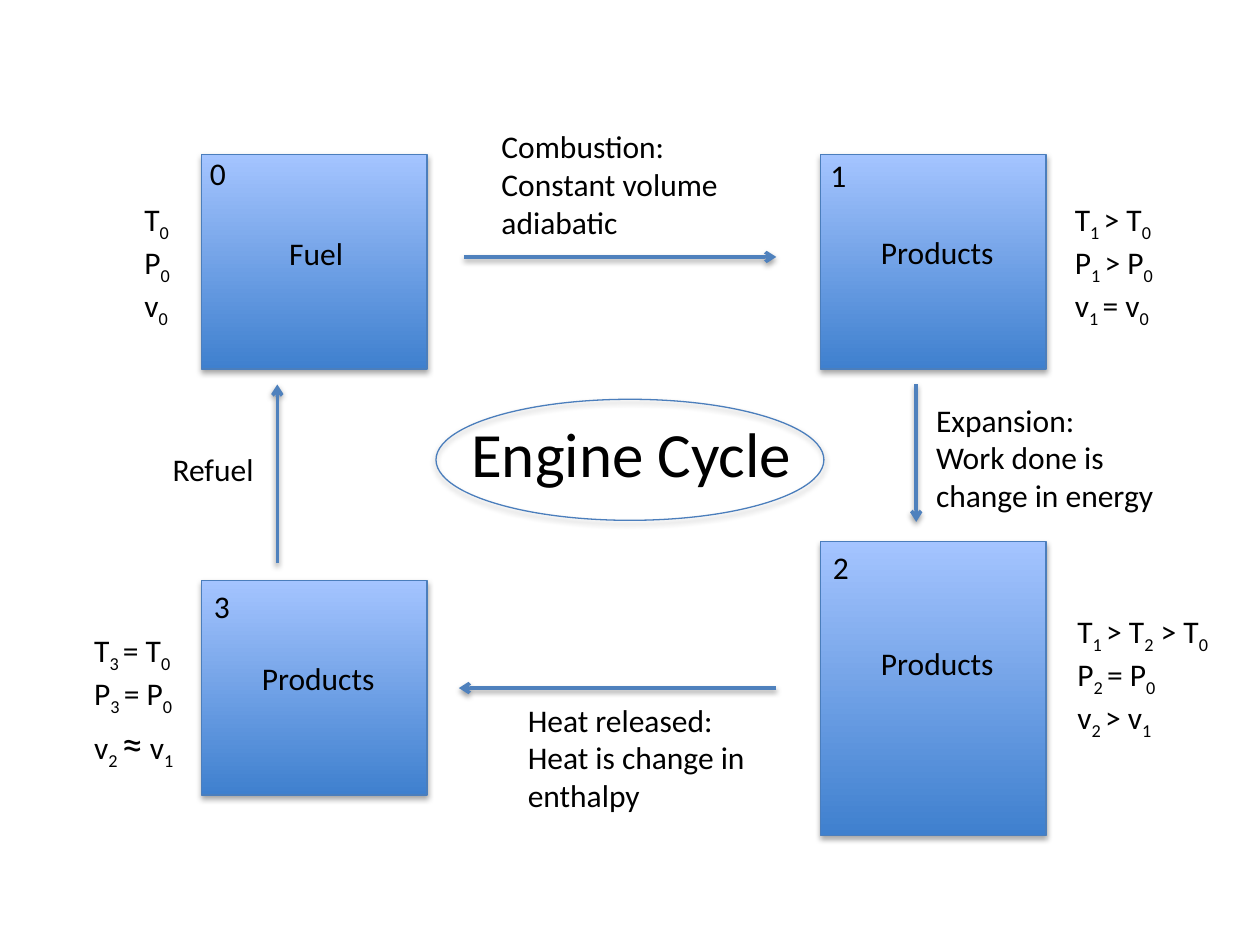
from lxml.etree import SubElement
from pptx import Presentation
from pptx.dml.color import RGBColor
from pptx.enum.shapes import MSO_CONNECTOR, MSO_SHAPE
from pptx.enum.text import MSO_AUTO_SIZE
from pptx.oxml.ns import qn
from pptx.util import Cm, Pt

BLACK = RGBColor(0x00, 0x00, 0x00)
DEEP_BLUE = RGBColor(0x3F, 0x80, 0xCE)
PALE_BLUE = RGBColor(0xA4, 0xC4, 0xFF)
OUTLINE = RGBColor(0x4B, 0x7E, 0xBC)
ARROW = RGBColor(0x4F, 0x81, 0xBD)

LEFT, RIGHT, TOP = 4.06, 16.54, 3.12
SIDE, HEIGHT = 4.55, 4.32


def add_text(s, text, x, y, w, h=1.02, size=18, sizes=None):
    """Add a text box; parts between bars are subscripts."""
    tb = s.shapes.add_textbox(Cm(x), Cm(y), Cm(w), Cm(h))
    tf = tb.text_frame
    tf.word_wrap = True
    tf.auto_size = MSO_AUTO_SIZE.SHAPE_TO_FIT_TEXT
    for i, line in enumerate(text.split("\n")):
        p = tf.add_paragraph() if i else tf.paragraphs[0]
        for j, part in enumerate(line.split("|")):
            if not part:
                continue
            r = p.add_run()
            r.text = part
            r.font.name = "Calibri"
            r.font.size = Pt((sizes or {}).get(part, size))
            r.font.color.rgb = BLACK
            if j % 2:
                r.font._element.set("baseline", "-25000")


def add_shadow(sp, distance, opacity):
    """Give a shape or connector a soft shadow below it."""
    effects = SubElement(sp._element.spPr, qn("a:effectLst"))
    shadow = SubElement(effects, qn("a:outerShdw"), blurRad="40000",
                        dist=str(distance), dir="5400000", rotWithShape="0")
    color = SubElement(shadow, qn("a:srgbClr"), val=str(BLACK))
    SubElement(color, qn("a:alpha"), val=str(opacity * 1000))


def add_outlined(s, kind, x, y, w, h, gradient):
    """Add an outlined shape with a shadow and an optional gradient."""
    sp = s.shapes.add_shape(kind, Cm(x), Cm(y), Cm(w), Cm(h))
    if gradient:
        sp.fill.gradient()
        sp.fill.gradient_angle = 90
        for stop, color, position in zip(sp.fill.gradient_stops, gradient, (0, 1)):
            stop.color.rgb = color
            stop.position = position
    else:
        sp.fill.background()
    sp.line.color.rgb = OUTLINE
    sp.line.width = Pt(0.75)
    add_shadow(sp, 23000, 35)


def add_state(s, x, y, h, number, number_at, name, name_at, values, values_at,
              values_w, values_h=2.57, sizes=None):
    """Place a state square with its number, name and state variables."""
    add_outlined(s, MSO_SHAPE.RECTANGLE, x, y, SIDE, h, (DEEP_BLUE, PALE_BLUE))
    add_text(s, number, x + number_at[0], y + number_at[1], 0.97)
    add_text(s, name, x + name_at[0], y + name_at[1], 3.43)
    add_text(s, values, x + values_at[0], y + values_at[1], values_w, values_h,
             sizes=sizes)


def add_step(s, x, y, dx, dy, caption, caption_at, w=4.95, h=2.57):
    """Place a step arrow and its caption relative to the arrow start."""
    line = s.shapes.add_connector(MSO_CONNECTOR.STRAIGHT, Cm(x), Cm(y),
                                  Cm(x + dx), Cm(y + dy))
    line.line.color.rgb = ARROW
    line.line.width = Pt(2)
    SubElement(line.line._get_or_add_ln(), qn("a:tailEnd"), type="arrow")
    add_shadow(line, 20000, 38)
    add_text(s, caption, x + caption_at[0], y + caption_at[1], w, h)


def add_title(s, x, y, w, h):
    """Place the title inside its ellipse."""
    add_text(s, "Engine Cycle", x + 0.46, y + 0.18, 7.29, 1.8, size=36)
    add_outlined(s, MSO_SHAPE.OVAL, x, y, w, h, None)


def main():
    """Build the engine cycle slide."""
    prs = Presentation()
    prs.slide_width, prs.slide_height = Cm(25.4), Cm(19.05)
    s = prs.slides.add_slide(prs.slide_layouts[6])

    add_state(s, LEFT, TOP, HEIGHT, "0", (-0.08, -0.13), "Fuel", (1.52, 1.47),
              "T|0\nP|0\nv|0", (-1.4, 0.79), 2.44)
    add_state(s, RIGHT, TOP, HEIGHT, "1", (-0.05, -0.1), "Products", (0.97, 1.45),
              "T|1 |> T|0\nP|1 |> P|0\nv|1 |= v|0", (4.88, 0.79), 2.44)
    add_state(s, RIGHT, 10.92, 5.92, "2", (0, 0), "Products", (0.97, 1.93),
              "T|1 |> T|2| > T|0\nP|2 |= P|0\nv|2 |> v|1", (4.93, 1.3), 3.63)
    add_state(s, LEFT, 11.71, HEIGHT, "3", (0, 0), "Products", (0.97, 1.45),
              "T|3 |= T|0\nP|3 |= P|0\nv|2 |≈|| v|1", (-2.41, 0.89), 2.36, 2.82,
              sizes={"≈": 24})

    add_step(s, 9.35, 5.18, 6.3, 0, "Combustion:\nConstant volume\nadiabatic",
             (0.51, -2.74))
    add_step(s, 18.47, 7.75, 0, 2.77, "Expansion:\nWork done is change in energy",
             (0.15, 0.2))
    add_step(s, 15.65, 13.87, -6.4, 0, "Heat released:\nHeat is change in enthalpy",
             (-5.26, 0.13))
    add_step(s, 5.59, 11.35, 0, -3.6, "Refuel", (-2.36, -2.41), 2.36, 1.02)

    add_title(s, 8.79, 8.05, 7.82, 2.44)
    prs.save("out.pptx")


if __name__ == "__main__":
    main()
